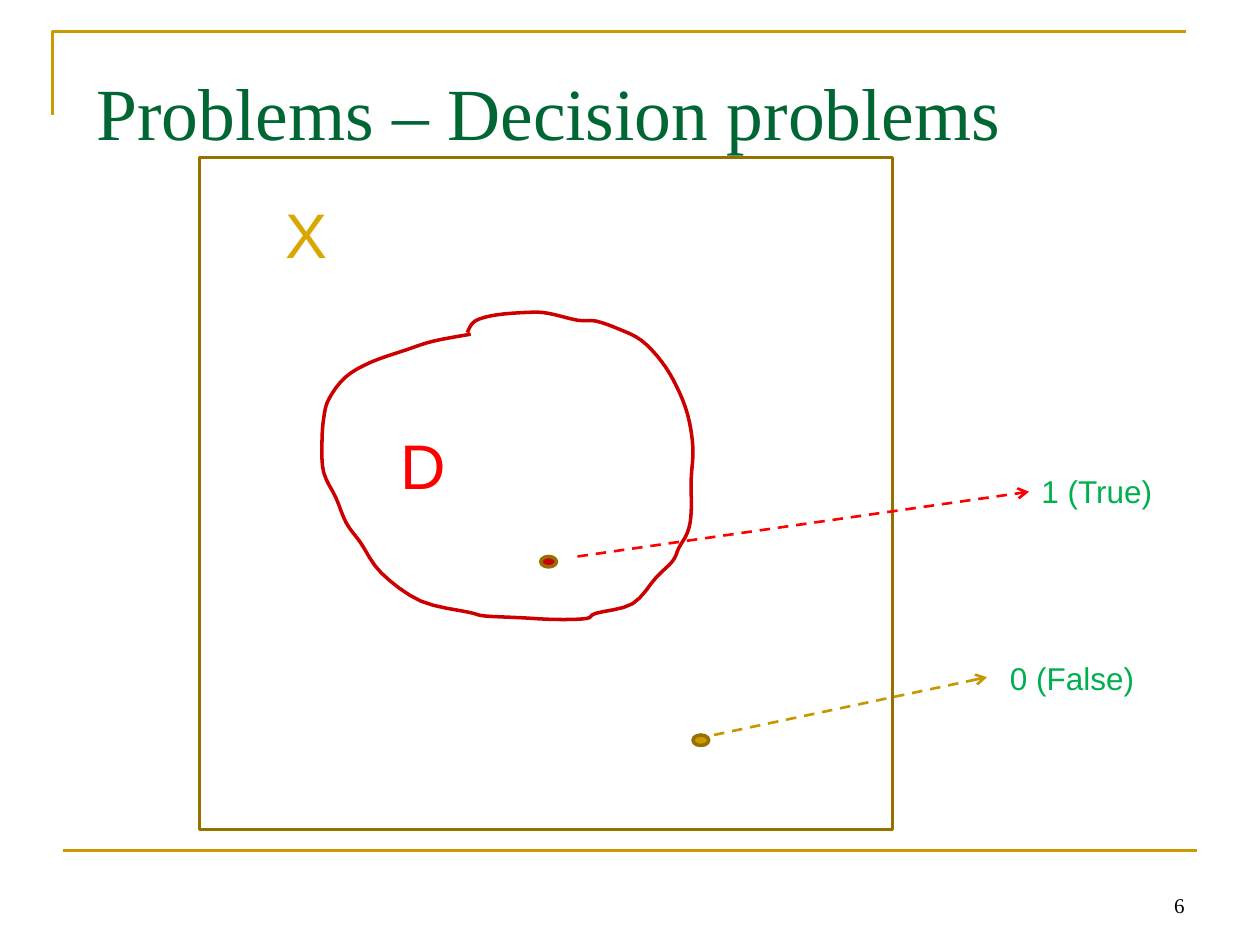
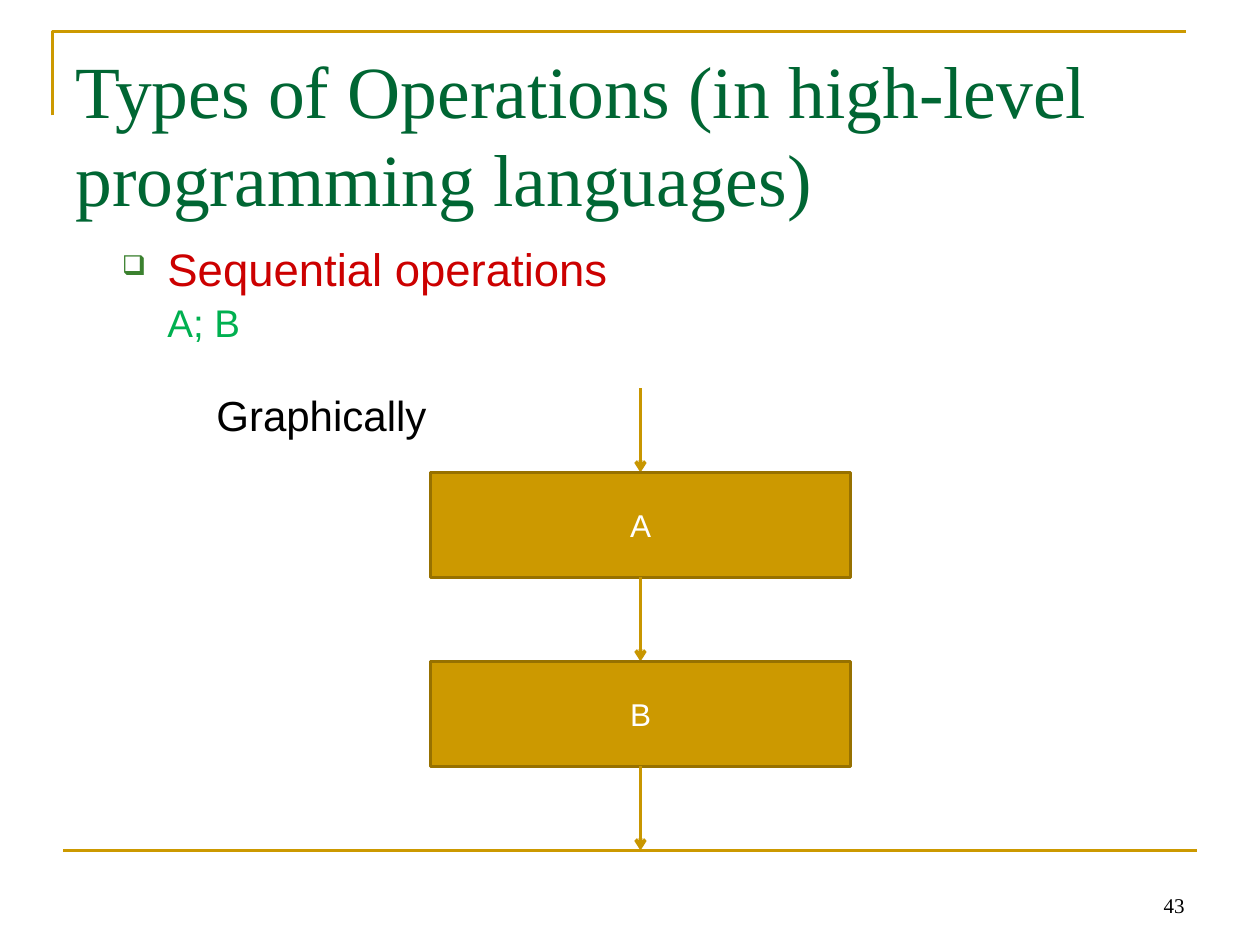
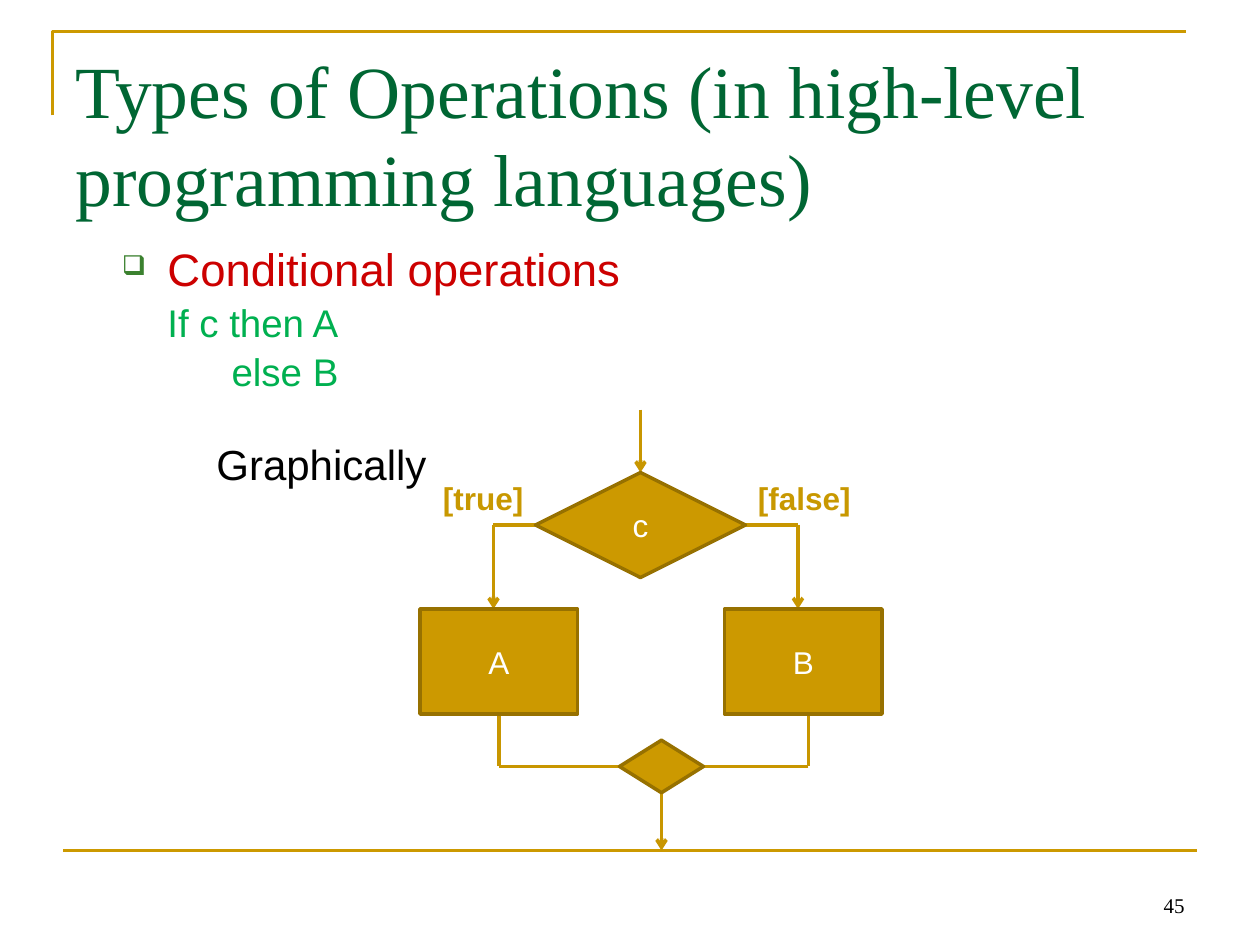
from dataclasses import dataclass

from lxml import etree
from pptx import Presentation
from pptx.dml.color import RGBColor
from pptx.enum.dml import MSO_LINE
from pptx.enum.shapes import MSO_CONNECTOR, MSO_SHAPE
from pptx.enum.text import MSO_ANCHOR, PP_ALIGN
from pptx.oxml.ns import qn
from pptx.util import Pt

STRAIGHT = MSO_CONNECTOR.STRAIGHT
DASH = MSO_LINE.DASH
RECTANGLE, DIAMOND, OVAL = MSO_SHAPE.RECTANGLE, MSO_SHAPE.DIAMOND, MSO_SHAPE.OVAL
LEFT, CENTER, RIGHT = PP_ALIGN.LEFT, PP_ALIGN.CENTER, PP_ALIGN.RIGHT
TOP, MIDDLE, BOTTOM = MSO_ANCHOR.TOP, MSO_ANCHOR.MIDDLE, MSO_ANCHOR.BOTTOM

GOLD = RGBColor(0xCC, 0x99, 0x00)
ARROW_GOLD = RGBColor(0xC8, 0x96, 0x00)
GUARD_GOLD = RGBColor(0xC8, 0x98, 0x00)
LABEL_GOLD = RGBColor(0xDA, 0xA6, 0x00)
DARK_GOLD = RGBColor(0x97, 0x71, 0x00)
TITLE_GREEN = RGBColor(0x00, 0x66, 0x33)
TEXT_GREEN = RGBColor(0x00, 0xB0, 0x50)
BULLET_GREEN = RGBColor(0x3B, 0x81, 0x2F)
RED = RGBColor(0xFF, 0x00, 0x00)
DARK_RED = RGBColor(0xCC, 0x00, 0x00)
BLACK = RGBColor(0x00, 0x00, 0x00)
WHITE = RGBColor(0xFF, 0xFF, 0xFF)

SANS, SERIF = "Arial", "Times New Roman"

Point = tuple[float, float]


@dataclass
class Area:
    """A rectangle on the page, in points."""
    left: float
    top: float
    width: float
    height: float

    @property
    def right(self) -> float:
        return self.left + self.width

    @property
    def bottom(self) -> float:
        return self.top + self.height

    @property
    def center_x(self) -> float:
        return self.left + self.width / 2

    @property
    def center_y(self) -> float:
        return self.top + self.height / 2

    def lengths(self) -> list[Pt]:
        return [Pt(side) for side in (self.left, self.top, self.width, self.height)]


@dataclass
class Style:
    size: float
    color: RGBColor
    font: str = SANS
    bold: bool = False


@dataclass
class Item:
    """A body paragraph, with its indent and the space before it."""
    text: str
    style: Style
    indent: float
    before: float = 0
    bullet: bool = False


@dataclass
class Branch:
    """One way out of the test: its guard, its box and the lines around it."""
    name: str
    guard: str
    guard_left: float
    box_left: float
    exit_x: float
    entry_x: float
    leave_x: float


TITLE_STYLE = Style(42, TITLE_GREEN, SERIF)
NUMBER_STYLE = Style(12, BLACK, SERIF)
HEADING_STYLE = Style(26, DARK_RED)
CODE_STYLE = Style(22, TEXT_GREEN)
NOTE_STYLE = Style(24, BLACK)
NODE_STYLE = Style(18, WHITE)
RESULT_STYLE = Style(18, TEXT_GREEN)
GUARD_STYLE = Style(18, GUARD_GOLD, bold=True)
THIN, THICK = 1.5, 2

OPERATIONS_TITLE = "Types of Operations (in high-level programming languages)"
TITLE_AREA = Area(36, 21.6, 648, 90)
NUMBER_AREA = Area(516, 492, 168, 36)
BODY_AREA = Area(36, 138, 648, 372)
CORNER = [(30, 66), (30, 18), (678, 18)]
RULE_LEFT, RULE_RIGHT, RULE_Y = 36, 684, 486
CODE_INDENT, ELSE_INDENT, NOTE_INDENT, BULLET_HANG = 52.6, 89.3, 80.6, 26
CODE_GAP, NOTE_GAP = 4.4, 28.2

FLOW_X = 366
FIRST_NODE_TOP = 270
NODE_HEIGHT = 60

# Points that the curve around the set D passes through.
SET_ANCHORS = [
    (269, 191), (247.5, 195), (232, 200), (212, 207), (197.5, 215.5), (188, 228),
    (185, 239), (184, 254), (185, 270), (192, 284.5), (198, 299), (206, 310),
    (218, 327.5), (240.5, 343.5), (268.5, 350), (277, 352), (297.5, 353), (317, 354),
    (335, 353.5), (340.5, 350.5), (361.5, 345), (375, 330), (384.5, 320.5),
    (388, 313), (393, 304), (395, 293), (395, 274), (396, 256), (393, 237),
    (386.5, 220.5), (378, 206.5), (366.5, 194.5), (353.5, 188), (340.5, 183.5),
    (330, 183), (313, 179), (302, 178.5), (283.5, 180), (271.5, 183.5), (267, 190),
]


def smooth(anchors: list[Point], steps: int = 4) -> list[Point]:
    """Join the anchors by a Catmull-Rom curve, cut into short segments."""
    padded = [anchors[0], *anchors, anchors[-1]]
    curve = []
    for before, start, end, after in zip(padded, padded[1:], padded[2:], padded[3:]):
        for step in range(steps):
            t = step / steps
            curve.append(tuple(
                (2 * b + (c - a) * t + (2 * a - 5 * b + 4 * c - d) * t**2
                 + (3 * b - a - 3 * c + d) * t**3) / 2
                for a, b, c, d in zip(before, start, end, after)
            ))
    return [*curve, anchors[-1]]


def write(para, text: str, style: Style) -> None:
    span = para.add_run()
    span.text = text
    span.font.name = style.font
    span.font.size = Pt(style.size)
    span.font.bold = style.bold
    span.font.color.rgb = style.color


def add_frame(page, area: Area):
    frame = page.shapes.add_textbox(*area.lengths()).text_frame
    frame.word_wrap = True
    return frame


def add_text(page, text: str, area: Area, style: Style, align=LEFT, anchor=TOP):
    frame = add_frame(page, area)
    frame.vertical_anchor = anchor
    frame.paragraphs[0].alignment = align
    write(frame.paragraphs[0], text, style)
    return frame


def add_node(page, kind, area: Area, text: str = "", fill: RGBColor | None = GOLD) -> None:
    shape = page.shapes.add_shape(kind, *area.lengths())
    shape.shadow.inherit = False
    if fill is None:
        shape.fill.background()
    else:
        shape.fill.solid()
        shape.fill.fore_color.rgb = fill
    shape.line.color.rgb = DARK_GOLD
    shape.line.width = Pt(THICK)
    if text:
        shape.text_frame.vertical_anchor = MIDDLE
        para = shape.text_frame.paragraphs[0]
        para.alignment = CENTER
        write(para, text, NODE_STYLE)


def add_line(page, start: Point, end: Point, color=ARROW_GOLD, width=THICK):
    ends = [Pt(value) for value in (*start, *end)]
    connector = page.shapes.add_connector(STRAIGHT, *ends)
    connector.line.color.rgb = color
    connector.line.width = Pt(width)
    etree.SubElement(connector._element.spPr, qn("a:effectLst"))
    return connector.line


def add_arrow(page, start: Point, end: Point, color=ARROW_GOLD, dashed=False) -> None:
    line = add_line(page, start, end, color, THIN if dashed else THICK)
    if dashed:
        line.dash_style = DASH
    etree.SubElement(line._get_or_add_ln(), qn("a:tailEnd"), type="arrow")


def add_outline(page, points: list[Point], color: RGBColor, width: float) -> None:
    first, *rest = [(Pt(x), Pt(y)) for x, y in points]
    builder = page.shapes.build_freeform(*first)
    builder.add_line_segments(rest, close=False)
    shape = builder.convert_to_shape()
    shape.shadow.inherit = False
    shape.fill.background()
    shape.line.color.rgb = color
    shape.line.width = Pt(width)


def add_bullet(properties) -> None:
    color = etree.SubElement(properties, qn("a:buClr"))
    etree.SubElement(color, qn("a:srgbClr"), val=str(BULLET_GREEN))
    etree.SubElement(properties, qn("a:buSzPct"), val="60000")
    etree.SubElement(properties, qn("a:buChar"), char="❑")


def add_body(page, items: list[Item]) -> None:
    frame = add_frame(page, BODY_AREA)
    for index, item in enumerate(items):
        para = frame.add_paragraph() if index else frame.paragraphs[0]
        para.line_spacing = 0.9
        para.space_before = Pt(item.before)
        properties = para._p.get_or_add_pPr()
        properties.set("marL", str(Pt(item.indent)))
        properties.set("indent", str(Pt(-BULLET_HANG if item.bullet else 0)))
        if item.bullet:
            add_bullet(properties)
        write(para, item.text, item.style)


def add_page(deck, title: str, number: str, title_area: Area = TITLE_AREA):
    """Add a slide with the corner frame, bottom rule, number and title."""
    page = deck.slides.add_slide(deck.slide_layouts[6])
    add_outline(page, CORNER, GOLD, THIN)
    add_line(page, (RULE_LEFT, RULE_Y), (RULE_RIGHT, RULE_Y), GOLD, THIN)
    add_text(page, number, NUMBER_AREA, NUMBER_STYLE, RIGHT, BOTTOM)
    frame = add_text(page, title, title_area, TITLE_STYLE)
    frame.margin_top = Pt(4.5)
    frame.paragraphs[0].line_spacing = Pt(50)
    return page


def add_operation_page(deck, number: str, heading: str, code: list[tuple[str, float]]):
    """Add an operations slide; code pairs each line with its indent."""
    page = add_page(deck, OPERATIONS_TITLE, number)
    add_body(page, [
        Item(heading, HEADING_STYLE, CODE_INDENT, bullet=True),
        *(Item(line, CODE_STYLE, indent, CODE_GAP) for line, indent in code),
        Item("Graphically", NOTE_STYLE, NOTE_INDENT, NOTE_GAP),
    ])
    return page


def build_decision_problems(deck) -> None:
    page = add_page(deck, "Problems – Decision problems", "6", Area(48, 34, 648, 90))
    add_node(page, RECTANGLE, Area(114, 90, 396, 384), fill=None)
    add_outline(page, smooth(SET_ANCHORS), DARK_RED, THICK)

    for name, left, top, color in [("D", 222, 240, RED), ("X", 156, 108, LABEL_GOLD)]:
        add_text(page, name, Area(left, top, 78, 51), Style(36, color))

    add_arrow(page, (330, 318), (588, 281), RED, dashed=True)
    add_arrow(page, (408, 420), (564, 387), dashed=True)
    add_text(page, "1 (True)", Area(588, 266.4, 78, 29), RESULT_STYLE)
    add_text(page, "0 (False)", Area(570, 373, 96, 29), RESULT_STYLE)

    for left, top, fill in [(309, 318, DARK_RED), (396, 420, GOLD)]:
        add_node(page, OVAL, Area(left, top, 9, 6), fill=fill)


def build_sequence(deck) -> None:
    page = add_operation_page(
        deck, "43", "Sequential operations", [("A; B", CODE_INDENT)]
    )
    arrow_length, width = 48, 240
    arrow_top = FIRST_NODE_TOP - arrow_length
    for name in "AB":
        box = Area(FLOW_X - width / 2, arrow_top + arrow_length, width, NODE_HEIGHT)
        add_arrow(page, (FLOW_X, arrow_top), (FLOW_X, box.top))
        add_node(page, RECTANGLE, box, name)
        arrow_top = box.bottom
    add_arrow(page, (FLOW_X, arrow_top), (FLOW_X, RULE_Y))


def build_condition(deck) -> None:
    page = add_operation_page(
        deck, "45", "Conditional operations",
        [("If c then A", CODE_INDENT), ("else B", ELSE_INDENT)],
    )
    test = Area(306, FIRST_NODE_TOP, 120, NODE_HEIGHT)
    join = Area(354, 423, 48, 30)
    branches = [
        Branch("A", "[true]", guard_left=246, box_left=240,
               exit_x=test.left, entry_x=282, leave_x=285),
        Branch("B", "[false]", guard_left=426, box_left=414,
               exit_x=test.right, entry_x=456, leave_x=462),
    ]

    add_arrow(page, (FLOW_X, test.top - 36), (FLOW_X, test.top))
    for branch in branches:
        box = Area(branch.box_left, 348, 90, NODE_HEIGHT)
        turn = (branch.entry_x, test.center_y)
        corner = (branch.leave_x, join.center_y)
        add_line(page, (branch.exit_x, test.center_y), turn)
        add_arrow(page, turn, (branch.entry_x, box.top))
        add_line(page, (branch.leave_x, box.bottom), corner)
        add_line(page, corner, (join.center_x, join.center_y))
        add_node(page, RECTANGLE, box, branch.name)
        guard_area = Area(branch.guard_left, test.top, 96, 29)
        add_text(page, branch.guard, guard_area, GUARD_STYLE)
    add_node(page, DIAMOND, test, "c")
    add_arrow(page, (join.center_x, join.bottom), (join.center_x, RULE_Y))
    add_node(page, DIAMOND, join)


def main() -> None:
    deck = Presentation()
    deck.slide_width, deck.slide_height = Pt(720), Pt(540)
    build_decision_problems(deck)
    build_sequence(deck)
    build_condition(deck)
    deck.save("out.pptx")


if __name__ == "__main__":
    main()
